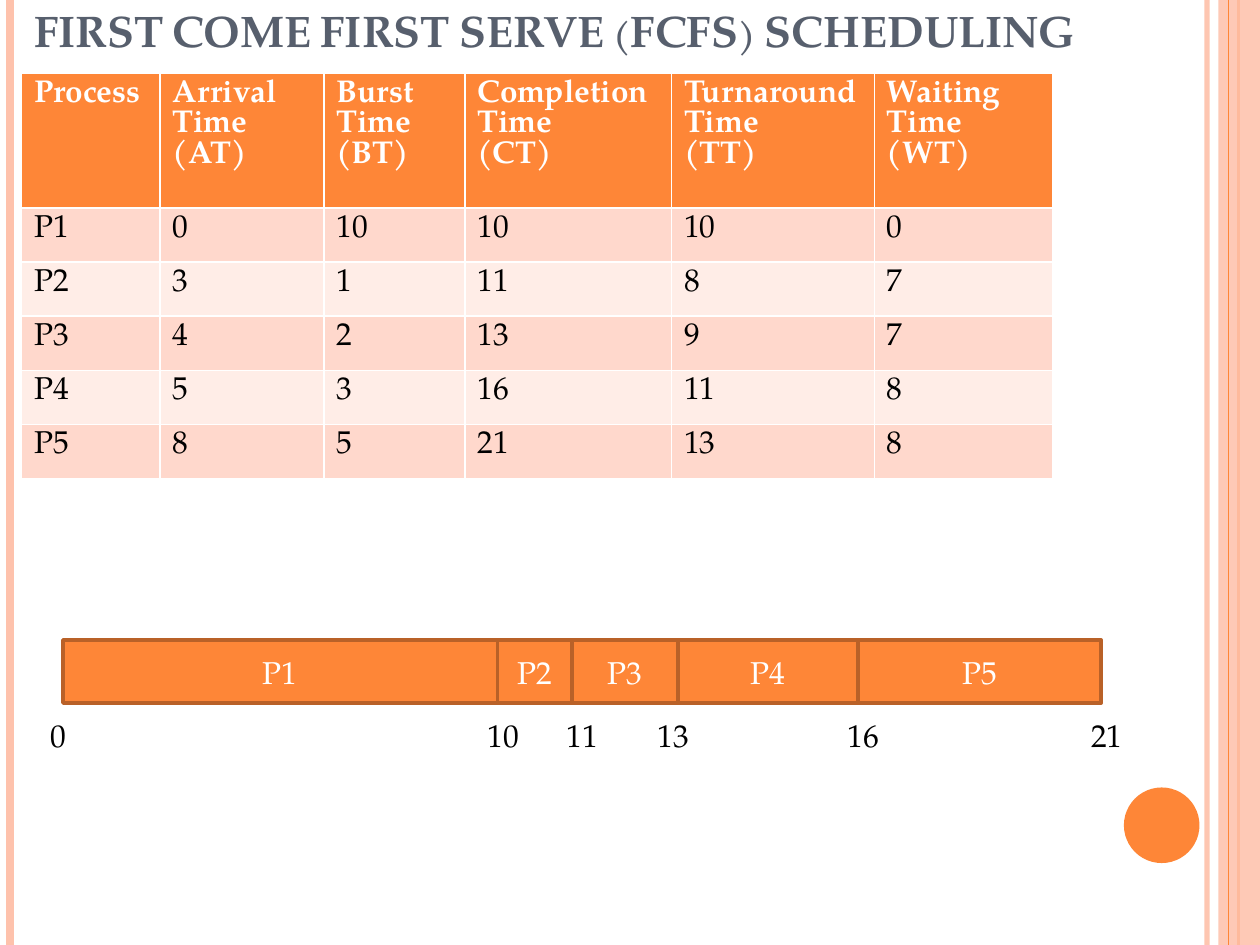
"""Build a slide on first come first serve scheduling with a process table and a Gantt chart."""
from dataclasses import dataclass
from itertools import pairwise

from lxml.etree import SubElement
from pptx import Presentation
from pptx.dml.color import RGBColor
from pptx.enum.shapes import MSO_CONNECTOR, MSO_SHAPE
from pptx.enum.text import MSO_ANCHOR, MSO_AUTO_SIZE, PP_ALIGN
from pptx.oxml.ns import qn
from pptx.util import Inches, Pt


@dataclass(frozen=True)
class Theme:
    font: str = "TeX Gyre Pagella"
    title: RGBColor = RGBColor(0x57, 0x5F, 0x6D)
    orange: RGBColor = RGBColor(0xFE, 0x86, 0x37)
    outline: RGBColor = RGBColor(0xB9, 0x61, 0x28)
    peach: RGBColor = RGBColor(0xFE, 0xC2, 0xAC)
    odd_row: RGBColor = RGBColor(0xFF, 0xD8, 0xCC)
    even_row: RGBColor = RGBColor(0xFF, 0xED, 0xE7)
    white: RGBColor = RGBColor(0xFF, 0xFF, 0xFF)
    black: RGBColor = RGBColor(0, 0, 0)
    title_size: Pt = Pt(25.2)
    text_size: Pt = Pt(18)


theme = Theme()


def write(frame, text, color, size=theme.text_size, bold=False, align=PP_ALIGN.LEFT):
    frame.text = text
    for para in frame.paragraphs:
        para.alignment = align
        for span in para.runs:
            span.font.name = theme.font
            span.font.size = size
            span.font.bold = bold
            span.font.color.rgb = color


def add_box(shapes, kind, left, top, width, height, fill, outline=None):
    box = shapes.add_shape(kind, Inches(left), Inches(top), Inches(width), Inches(height))
    box.shadow.inherit = False
    box.fill.solid()
    box.fill.fore_color.rgb = fill
    if outline is None:
        box.line.fill.background()
    else:
        box.line.color.rgb = outline
        box.line.width = Pt(2)
    box.text_frame.vertical_anchor = MSO_ANCHOR.MIDDLE
    return box


deck = Presentation()
deck.slide_width, deck.slide_height = Inches(10), Inches(7.5)
page = deck.slides.add_slide(deck.slide_layouts[5])

stripes = [
    (9.58, theme.peach, 3, 93),
    (0.08, theme.peach, 4.5, 100),
    (9.83, theme.orange, 1.5, 100),
    (9.75, theme.orange, 0.75, 100),
]
for x, color, weight, opacity in stripes:
    stripe = page.shapes.add_connector(
        MSO_CONNECTOR.STRAIGHT, Inches(x), Inches(0), Inches(x), Inches(7.5)
    )
    stripe.line.color.rgb = color
    stripe.line.width = Pt(weight)
    properties = stripe._element.spPr
    if opacity < 100:
        stripe_color = properties.find(qn("a:ln")).find(qn("a:solidFill"))[0]
        SubElement(stripe_color, qn("a:alpha"), val=str(opacity * 1000))
    SubElement(properties, qn("a:effectLst"))

band = add_box(page.shapes, MSO_SHAPE.RECTANGLE, 9.67, 0, 0.33, 7.5, theme.peach)
band_color = band._element.spPr.find(qn("a:solidFill"))[0]
SubElement(band_color, qn("a:alpha"), val="87000")
band._element.addnext(stripe._element)

add_box(page.shapes, MSO_SHAPE.OVAL, 8.92, 6.25, 0.6, 0.6, theme.orange)

title = page.shapes.title
title.left, title.top, title.width, title.height = Inches(0.17), Inches(0), Inches(9.67), Inches(0.5)
title.text_frame.auto_size = MSO_AUTO_SIZE.NONE
title.text_frame.vertical_anchor = MSO_ANCHOR.BOTTOM
write(title.text_frame, "FIRST COME FIRST SERVE (FCFS) SCHEDULING", theme.title, theme.title_size, bold=True)
title.text_frame.paragraphs[0].runs[0]._r.get_or_add_rPr().set("cap", "small")

rows = [
    ("Process", "Arrival Time (AT)", "Burst Time (BT)", "Completion Time\n(CT)",
     "Turnaround\nTime\n(TT)", "Waiting\nTime\n(WT)"),
    ("P1", 0, 10, 10, 10, 0),
    ("P2", 3, 1, 11, 8, 7),
    ("P3", 4, 2, 13, 9, 7),
    ("P4", 5, 3, 16, 11, 8),
    ("P5", 8, 5, 21, 13, 8),
]
column_widths = [1.1, 1.3, 1.12, 1.64, 1.61, 1.42]
row_heights = [1.07] + [0.43] * 5
table = page.shapes.add_table(
    len(rows), len(column_widths), Inches(0.17), Inches(0.58),
    Inches(sum(column_widths)), Inches(sum(row_heights)),
).table
for column, width in zip(table.columns, column_widths):
    column.width = Inches(width)
for index, (row, height, values) in enumerate(zip(table.rows, row_heights, rows)):
    row.height = Inches(height)
    header = index == 0
    row_fill = theme.orange if header else theme.odd_row if index % 2 else theme.even_row
    for cell, value in zip(row.cells, values):
        cell.fill.solid()
        cell.fill.fore_color.rgb = row_fill
        write(cell.text_frame, str(value), theme.white if header else theme.black, bold=header)

gantt = page.shapes.add_group_shape().shapes
edges = [0.5, 3.95, 4.54, 5.38, 6.81, 8.74]
for number, (left, right) in enumerate(pairwise(edges), start=1):
    bar = add_box(gantt, MSO_SHAPE.RECTANGLE, left, 5.08, right - left, 0.5, theme.orange, theme.outline)
    write(bar.text_frame, f"P{number}", theme.white, align=PP_ALIGN.CENTER)

ticks = [(0, 0.17, 0.59), (10, 3.7, 0.59), (11, 4.37, 0.5), (13, 5.05, 0.59), (16, 6.56, 0.59), (21, 8.49, 0.59)]
for time, left, width in ticks:
    tick = add_box(gantt, MSO_SHAPE.ROUNDED_RECTANGLE, left, 5.67, width, 0.33, theme.white)
    write(tick.text_frame, str(time), theme.black, align=PP_ALIGN.CENTER)

deck.save("out.pptx")
